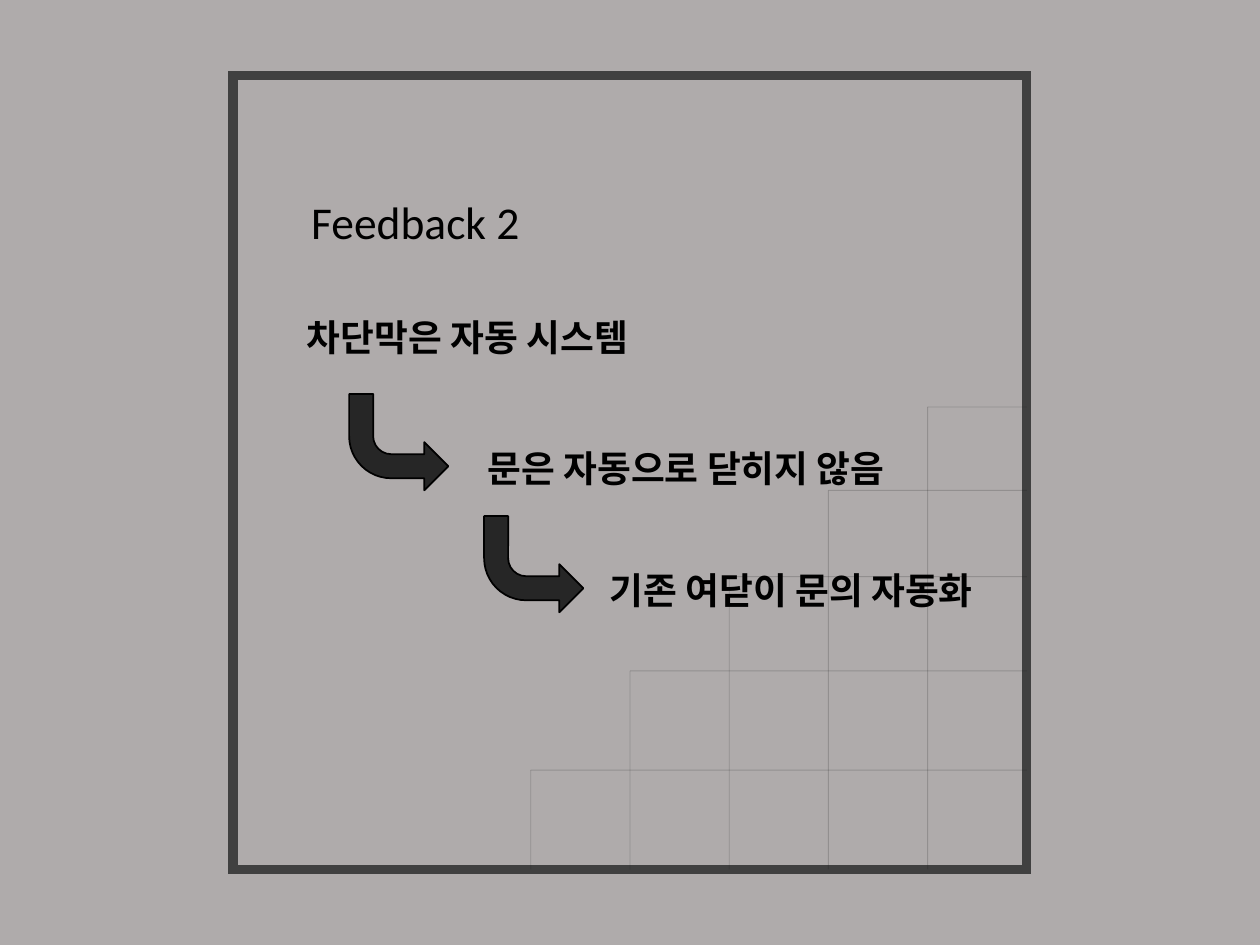
from collections import namedtuple
from dataclasses import dataclass

from lxml import etree
from pptx import Presentation
from pptx.dml.color import RGBColor
from pptx.enum import shapes, text
from pptx.oxml.ns import qn
from pptx.util import Inches, Pt

Box = namedtuple("Box", "x y w h")


@dataclass(frozen=True)
class Theme:
    back: str = "AFABAB"
    frame: str = "404040"
    grid: str = "181717"
    arrow: str = "262626"
    ink: str = "000000"
    latin: str = "Calibri"
    korean: str = "Noto Sans CJK KR"
    title_size: int = 26
    step_size: int = 21


THEME = Theme()
CELLS = 8  # the frame is divided into 8 by 8 cells


def rgb(value):
    return RGBColor.from_string(value)


def within(box, col, row, cols, rows):
    """Return the part of a box given in its grid cells."""
    cw, ch = box.w / CELLS, box.h / CELLS
    return Box(box.x + col * cw, box.y + row * ch, cols * cw, rows * ch)


def emu(box):
    return [Inches(v) for v in box]


def write(sp, words, size, font, bold=False, anchor=text.MSO_ANCHOR.TOP):
    """Write one left-aligned paragraph and format its run."""
    tf = sp.text_frame
    tf.text = words
    tf.word_wrap = True
    tf.auto_size = text.MSO_AUTO_SIZE.SHAPE_TO_FIT_TEXT
    tf.vertical_anchor = anchor
    p = tf.paragraphs[0]
    p.alignment = text.PP_ALIGN.LEFT
    r = p.runs[0]
    r.font.name, r.font.size, r.font.bold = font, Pt(size), bold
    r.font.color.rgb = rgb(THEME.ink)
    etree.SubElement(r.font._element, qn("a:ea")).set("typeface", font)


def add_frame(s, box):
    sp = s.shapes.add_shape(shapes.MSO_SHAPE.RECTANGLE, *emu(box))
    sp.shadow.inherit = False
    sp.fill.background()
    sp.line.color.rgb = rgb(THEME.frame)
    sp.line.width = Pt(5.25)
    # Square corners
    ln = sp._element.spPr.find(qn("a:ln"))
    etree.SubElement(ln, qn("a:miter")).set("lim", "800000")


def add_grid_line(s, x1, y1, x2, y2):
    line = s.shapes.add_connector(
        shapes.MSO_CONNECTOR.STRAIGHT, *emu((x1, y1, x2, y2)))
    line.line.color.rgb = rgb(THEME.grid)
    line.line.width = Pt(0.5)
    # Opacity and no shadow
    sppr = line._element.spPr
    color = next(sppr.iter(qn("a:srgbClr")))
    etree.SubElement(color, qn("a:alpha")).set("val", "18000")
    etree.SubElement(sppr, qn("a:effectLst"))


def add_stair_grid(s, box):
    """Steps climb one column at a time towards the right edge."""
    heights = (1, 2, 2.95, 3.82, 4.66)
    for i, rows in enumerate(heights):
        cols = len(heights) - i
        step = within(box, CELLS - cols, CELLS - rows, cols, rows)
        add_grid_line(s, step.x, step.y, step.x + step.w, step.y)
        add_grid_line(s, step.x, step.y, step.x, step.y + step.h)


def add_title(s, box):
    sp = s.shapes.title
    sp.left, sp.top, sp.width, sp.height = emu(box)
    write(sp, "Feedback 2", THEME.title_size, THEME.latin,
          anchor=text.MSO_ANCHOR.MIDDLE)


def add_arrow(s, box):
    sp = s.shapes.add_shape(shapes.MSO_SHAPE.BENT_ARROW, *emu(box))
    sp.shadow.inherit = False
    sp.fill.solid()
    sp.fill.fore_color.rgb = rgb(THEME.arrow)
    sp.line.color.rgb = rgb(THEME.ink)
    sp.line.width = Pt(1)
    sp._element.spPr.find(qn("a:xfrm")).set("flipV", "1")


def add_steps(s, box):
    """Three statements, each led to by an arrow from the one above."""
    steps = [
        ("차단막은 자동 시스템", 0.62, 2.35, 6.37),
        ("문은 자동으로 닫히지 않음", 2.44, 3.67, 5.56),
        ("기존 여닫이 문의 자동화", 3.67, 4.9, 5.56),
    ]
    for words, col, row, cols in steps:
        sp = s.shapes.add_textbox(*emu(within(box, col, row, cols, 0.57)))
        write(sp, words, THEME.step_size, THEME.korean, bold=True)
    for col, row in ((1.17, 3.21), (2.53, 4.44)):
        add_arrow(s, within(box, col, row, 1, 0.97))


def main():
    prs = Presentation()
    prs.slide_width, prs.slide_height = Inches(10), Inches(7.5)
    s = prs.slides.add_slide(prs.slide_layouts[5])
    s.background.fill.solid()
    s.background.fill.fore_color.rgb = rgb(THEME.back)

    frame = Box(1.85, 0.6, 6.3, 6.3)
    add_frame(s, frame)
    add_stair_grid(s, frame)
    add_title(s, within(frame, 0.66, 1.12, 2.87, 0.69))
    add_steps(s, frame)
    prs.save("out.pptx")


if __name__ == "__main__":
    main()
